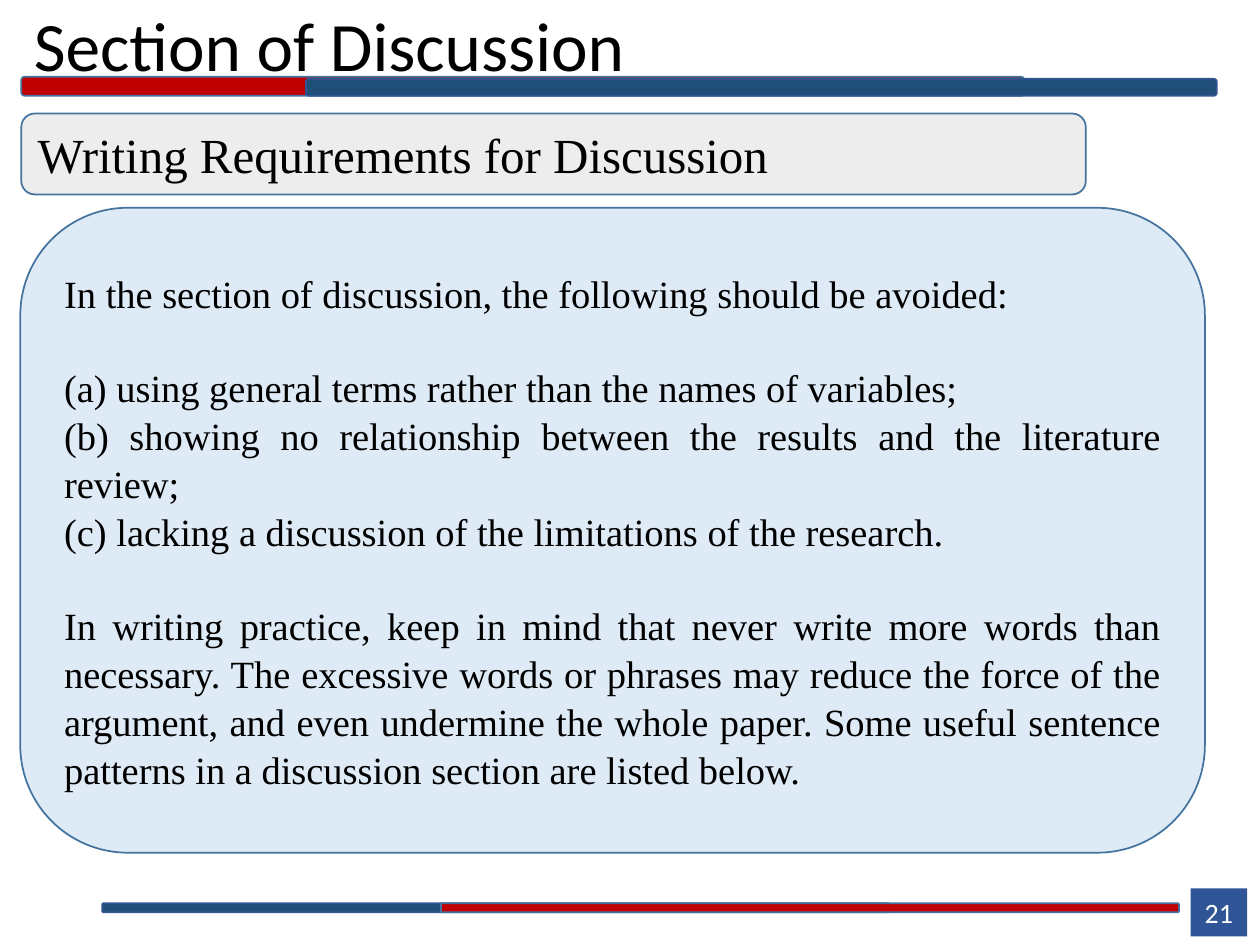
from dataclasses import dataclass

from pptx import Presentation
from pptx.dml.color import RGBColor
from pptx.enum.shapes import MSO_SHAPE
from pptx.enum.text import MSO_ANCHOR, MSO_AUTO_SIZE, PP_ALIGN
from pptx.util import Cm, Pt


@dataclass(frozen=True)
class Theme:
    black: str = "000000"
    white: str = "FFFFFF"
    red: str = "C00000"
    navy: str = "1F4E79"
    blue: str = "2F5597"
    grey: str = "EDEDED"
    pale: str = "DEEBF7"
    edge: str = "43739E"
    rim: str = "325491"
    sans: str = "Calibri"
    serif: str = "Times New Roman"
    title: float = 39.6
    head: float = 28
    body: float = 22
    page: float = 16


THEME = Theme()
GAP = 26.4  # one body line, in points

BODY = [
    ("In the section of discussion, the following should be avoided:", 0),
    ("(a) using general terms rather than the names of variables;", GAP),
    ("(b) showing no relationship between the results and the literature review;", 0),
    ("(c) lacking a discussion of the limitations of the research.", 0),
    ("In writing practice, keep in mind that never write more words than "
     "necessary. The excessive words or phrases may reduce the force of the "
     "argument, and even undermine the whole paper. Some useful sentence "
     "patterns in a discussion section are listed below.", GAP),
]


def write(para, text, font=THEME.serif, size=THEME.body, color=THEME.black,
          align=PP_ALIGN.LEFT, lead=1.0, before=0):
    """Fill one paragraph with formatted text."""
    para.alignment = align
    para.line_spacing = lead
    para.space_before = Pt(before)
    run = para.add_run()
    run.text = text
    run.font.name = font
    run.font.size = Pt(size)
    run.font.color.rgb = RGBColor.from_string(color)


def panel(shapes, box, fill, line=None, kind=MSO_SHAPE.ROUNDED_RECTANGLE):
    """Draw a filled shape in a box given in centimetres."""
    shape = shapes.add_shape(kind, *map(Cm, box))
    shape.shadow.inherit = False
    shape.fill.solid()
    shape.fill.fore_color.rgb = RGBColor.from_string(fill)
    if line:
        shape.line.color.rgb = RGBColor.from_string(line)
        shape.line.width = Pt(1)
    else:
        shape.line.fill.background()
    frame = shape.text_frame
    frame.word_wrap = True
    frame.vertical_anchor = MSO_ANCHOR.MIDDLE
    return frame


def title(slide, box, text):
    shape = slide.shapes.title
    shape.left, shape.top, shape.width, shape.height = map(Cm, box)
    frame = shape.text_frame
    frame.auto_size = MSO_AUTO_SIZE.NONE
    frame.vertical_anchor = MSO_ANCHOR.MIDDLE
    write(frame.paragraphs[0], text, font=THEME.sans, size=THEME.title, lead=0.9)


def rule(slide, box, bars):
    """Group overlapping bars: (offset, drop, width, fill, line)."""
    left, top, height = box
    group = slide.shapes.add_group_shape()
    for dx, dy, width, fill, line in bars:
        panel(group.shapes, (left + dx, top + dy, width, height - dy), fill, line)


def heading(slide, box, text):
    frame = panel(slide.shapes, box, THEME.grey, THEME.edge)
    write(frame.paragraphs[0], text, size=THEME.head)


def body(slide, box, items):
    frame = panel(slide.shapes, box, THEME.pale, THEME.edge)
    for i, (text, before) in enumerate(items):
        para = frame.add_paragraph() if i else frame.paragraphs[0]
        write(para, text, align=PP_ALIGN.JUSTIFY, lead=1.04, before=before)


def number(slide, box, text):
    frame = panel(slide.shapes, box, THEME.blue, kind=MSO_SHAPE.RECTANGLE)
    frame.margin_left = frame.margin_right = 0
    write(frame.paragraphs[0], text, font=THEME.sans, size=THEME.page,
          color=THEME.white, align=PP_ALIGN.CENTER)


def main():
    deck = Presentation()
    deck.slide_width, deck.slide_height = Cm(25.4), Cm(19.05)
    slide = deck.slides.add_slide(deck.slide_layouts[5])  # title only

    title(slide, (0.43, 0.03, 23.24, 1.9), "Section of Discussion")
    number(slide, (24, 17.91, 1.14, 0.97), "21")
    # Two-colour rules under the title and at the foot
    rule(slide, (0.43, 1.55, 0.38), [
        (0, 0, 20.22, THEME.red, THEME.edge),
        (5.74, 0.04, 18.36, THEME.navy, THEME.rim),
    ])
    rule(slide, (2.06, 18.21, 0.18), [
        (0, 0, 15.88, THEME.navy, THEME.rim),
        (6.83, 0, 14.88, THEME.red, THEME.edge),
    ])
    heading(slide, (0.43, 2.29, 21.46, 1.63), "Writing Requirements for Discussion")
    body(slide, (0.41, 4.19, 23.88, 13), BODY)

    deck.save("out.pptx")


if __name__ == "__main__":
    main()
